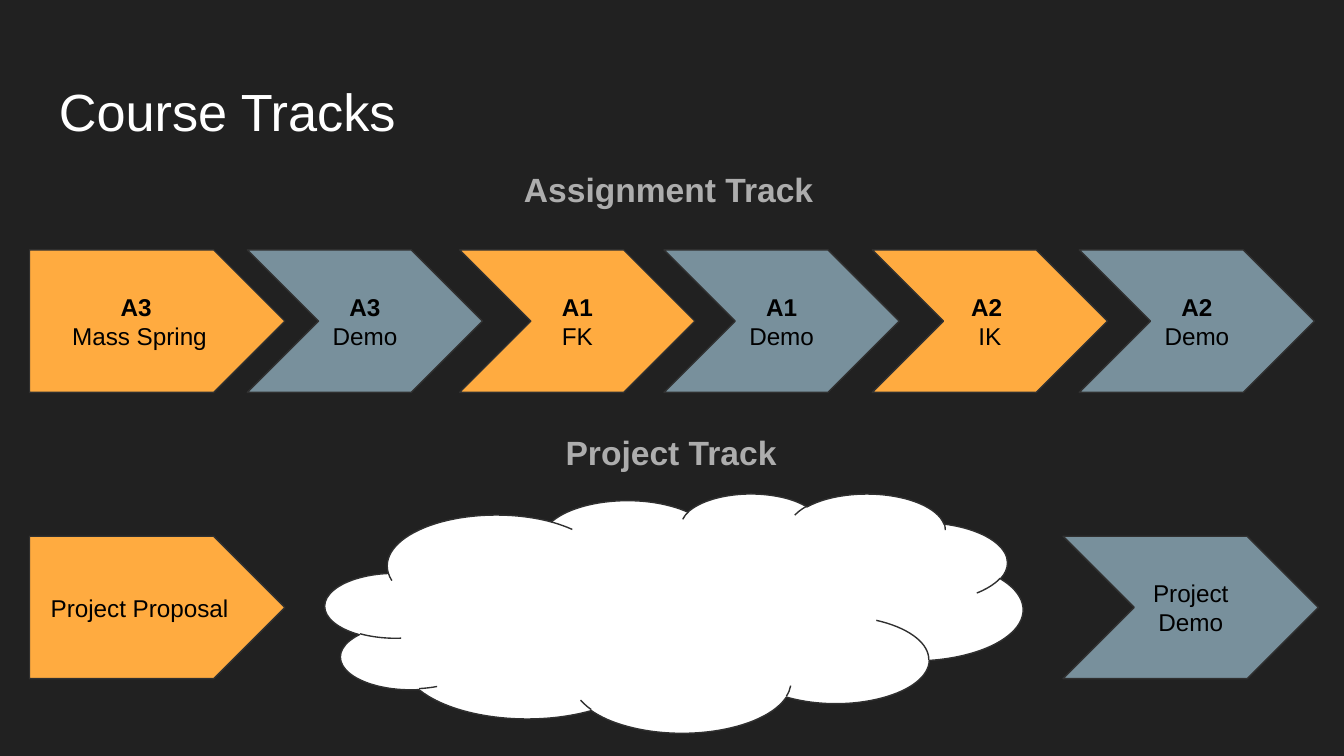
from pptx import Presentation
from pptx import util as u
from pptx.dml.color import RGBColor
from pptx.enum import shapes, text

BACKGROUND = RGBColor(0x21, 0x21, 0x21)
WHITE = RGBColor(0xFF, 0xFF, 0xFF)
BLACK = RGBColor(0x00, 0x00, 0x00)
GRAY = RGBColor(0xAD, 0xAD, 0xAD)
ORANGE = RGBColor(0xFF, 0xAB, 0x40)
SLATE = RGBColor(0x78, 0x90, 0x9C)
OUTLINE = RGBColor(0x30, 0x30, 0x30)

PENTAGON = shapes.MSO_SHAPE.PENTAGON
CHEVRON = shapes.MSO_SHAPE.CHEVRON
CLOUD = shapes.MSO_SHAPE.CLOUD


class TrackSlide:
    font = "Arial"
    inset = u.Inches(0.1)

    def __init__(self, presentation):
        self.slide = presentation.slides.add_slide(presentation.slide_layouts[6])
        fill = self.slide.background.fill
        fill.solid()
        fill.fore_color.rgb = BACKGROUND

    def frame(self, shape, anchor):
        frame = shape.text_frame
        frame.word_wrap = True
        frame.vertical_anchor = anchor
        frame.margin_left = frame.margin_right = self.inset
        frame.margin_top = frame.margin_bottom = self.inset
        return frame

    def run(self, paragraph, words, size, color, bold=False):
        run = paragraph.add_run()
        run.text = words
        run.font.name = self.font
        run.font.size = u.Pt(size)
        run.font.bold = bold
        run.font.color.rgb = color

    def text_box(self, box, words, size, color, bold=False):
        shape = self.slide.shapes.add_textbox(*map(u.Inches, box))
        paragraph = self.frame(shape, text.MSO_ANCHOR.TOP).paragraphs[0]
        self.run(paragraph, words, size, color, bold)
        return paragraph

    def heading(self, box, words):
        paragraph = self.text_box(box, words, 18, GRAY, True)
        paragraph.line_spacing = 1.15
        paragraph.space_after = u.Pt(16)

    def group(self):
        return self.slide.shapes.add_group_shape()

    def shape(self, group, kind, box, color):
        shape = group.shapes.add_shape(kind, *map(u.Inches, box))
        shape.shadow.inherit = False
        shape.fill.solid()
        shape.fill.fore_color.rgb = color
        shape.line.color.rgb = OUTLINE
        shape.line.width = u.Pt(0.75)
        return shape

    def step(self, group, kind, box, color, paragraphs):
        shape = self.shape(group, kind, box, color)
        shape.adjustments[0] = 0.5
        frame = self.frame(shape, text.MSO_ANCHOR.MIDDLE)
        for index, runs in enumerate(paragraphs):
            paragraph = frame.add_paragraph() if index else frame.paragraphs[0]
            paragraph.alignment = text.PP_ALIGN.CENTER
            for words, bold in runs:
                self.run(paragraph, words, 13, BLACK, bold)


def main():
    presentation = Presentation()
    presentation.slide_width = u.Inches(10)
    presentation.slide_height = u.Inches(10) * 9 // 16
    tracks = TrackSlide(presentation)

    tracks.text_box((0.34, 0.49, 9.32, 0.63), "Course Tracks", 28, WHITE)
    tracks.heading((3.8, 1.11, 2.39, 0.51), "Assignment Track")
    tracks.heading((4.11, 3.07, 1.79, 0.51), "Project Track")

    step_height = 1.06
    assignments = [
        (0.22, [[("A3 ", True)], [("Mass Spring", False)]]),
        (1.84, [[("A3 ", True), ("Demo", False)]]),
        (3.42, [[("A1", True), (" FK", False)]]),
        (4.94, [[("A1", True)], [("Demo", False)]]),
        (6.49, [[("A2 ", True)], [("IK", False)]]),
        (8.03, [[("A2", True)], [("Demo", False)]]),
    ]
    assignment_group = tracks.group()
    for index, (left, paragraphs) in enumerate(assignments):
        kind, width = (CHEVRON, 1.75) if index else (PENTAGON, 1.9)
        color = SLATE if index % 2 else ORANGE
        tracks.step(assignment_group, kind, (left, 1.86, width, step_height),
                    color, paragraphs)

    project_group = tracks.group()
    for kind, left, color, words in (
        (PENTAGON, 0.22, ORANGE, "Project Proposal"),
        (CHEVRON, 7.91, SLATE, "Project Demo"),
    ):
        tracks.step(project_group, kind, (left, 3.99, 1.9, step_height),
                    color, [[(words, False)]])
    tracks.shape(project_group, CLOUD, (2.42, 3.67, 5.19, 1.78), WHITE)

    presentation.save("out.pptx")


if __name__ == "__main__":
    main()
